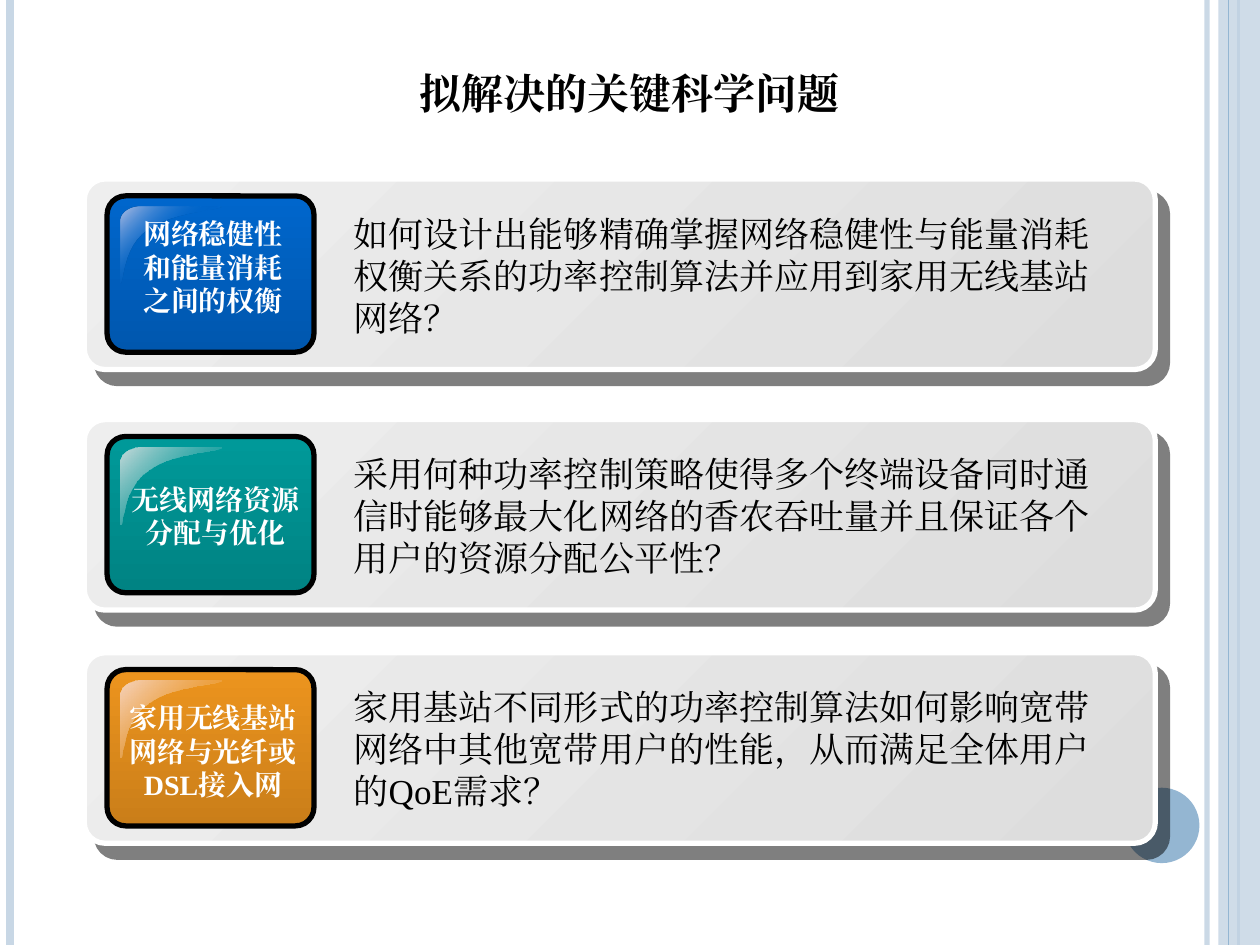
from dataclasses import dataclass

from pptx import Presentation
from pptx.dml.color import RGBColor
from pptx.enum.shapes import MSO_CONNECTOR, MSO_SHAPE
from pptx.enum.text import MSO_ANCHOR, MSO_AUTO_SIZE, PP_ALIGN
from pptx.oxml import parse_xml
from pptx.oxml.ns import nsdecls, qn
from pptx.util import Cm, Pt

RECT, ROUND, OVAL = MSO_SHAPE.RECTANGLE, MSO_SHAPE.ROUNDED_RECTANGLE, MSO_SHAPE.OVAL
STRAIGHT = MSO_CONNECTOR.STRAIGHT
TOP, BOTTOM = MSO_ANCHOR.TOP, MSO_ANCHOR.BOTTOM
LEFT, CENTER = PP_ALIGN.LEFT, PP_ALIGN.CENTER
GROW, FIXED = MSO_AUTO_SIZE.SHAPE_TO_FIT_TEXT, MSO_AUTO_SIZE.NONE


@dataclass(frozen=True)
class Theme:
    sans: str = "Cambria"
    serif: str = "Times New Roman"
    title_size: int = 30
    label_size: int = 16
    body_size: int = 20
    black: str = "000000"
    white: str = "FFFFFF"
    pale: str = "C8D7E5"
    accent: str = "94B6D2"
    card: tuple = ("EEEEEE", "DDDDDD")


T = Theme()
WIDTH, HEIGHT = 25.4, 19.05

# Edge lines: x, colour, weight, opacity
EDGES_BELOW = [(24.33, T.pale, 3, 93), (0.2, T.pale, 4.5, 100), (24.97, T.accent, 1.5, 100)]
EDGES_ABOVE = [(24.77, T.accent, 0.75, 100)]

# Cards: top, button colour, gloss stops (position, colour, opacity),
# label box, label runs, question, question font
CARDS = [
    (3.61, "0066CC", [(0, "B5C0E5", 100), (50, "0066CC", 0), (100, "B5C0E5", 100)],
     (2.57, 4.24, 3.45, 2.31), [("网络稳健性和能量消耗之间的权衡", T.sans)],
     "如何设计出能够精确掌握网络稳健性与能量消耗权衡关系的功率控制算法并应用到家用无线基站网络？",
     T.sans),
    (8.46, "009999", [(0, "C9DBDB", 100), (100, "009999", 0)],
     (2.34, 9.6, 4.01, 1.63), [("无线网络资源分配与优化", T.sans)],
     "采用何种功率控制策略使得多个终端设备同时通信时能够最大化网络的香农吞吐量并且保证各个用户的资源分配公平性？",
     T.sans),
    (13.16, "EC941E", [(0, "F6D4BF", 100), (100, "EC941E", 0)],
     (2.24, 14, 4.11, 2.31),
     [("家用无线基站网络与光纤或", T.sans), ("DSL", T.serif), ("接入网", T.sans)],
     "家用基站不同形式的功率控制算法如何影响宽带网络中其他宽带用户的性能，从而满足全体用户的QoE需求？",
     T.serif),
]

# Gloss outline: start point, then Bezier segments (two controls and an end)
GLOSS_START = (0.41, 0)
GLOSS_CORNER = [((0.18, 0), (0, 0.13), (0, 0.3))]
GLOSS_SWEEP = [((0.08, 1.57), (0.03, 0.81), (0.56, 0.46)),
               ((1.07, 0.1), (2.06, 0.08), (2.03, 0))]
GLOSS_FOOT = (0, 1.55)


def apply(obj, values):
    for name, value in values.items():
        setattr(obj, name, value)


def set_alpha(fill_parent, percent):
    if percent < 100:
        clr = fill_parent.find(qn("a:solidFill"))[0]
        clr.append(parse_xml(f'<a:alpha {nsdecls("a")} val="{percent * 1000}"/>'))


def set_gradient(sp, stops, angle):
    """Each stop is (position, colour, opacity) with an optional shade."""
    gs = ""
    for pos, color, alpha, *shade in stops:
        mods = "".join(f'<a:shade val="{v * 1000}"/>' for v in shade)
        mods += f'<a:alpha val="{alpha * 1000}"/>' if alpha < 100 else ""
        gs += f'<a:gs pos="{pos * 1000}"><a:srgbClr val="{color}">{mods}</a:srgbClr></a:gs>'
    sp.fill.gradient()
    old = sp.element.spPr.find(qn("a:gradFill"))
    new = parse_xml(f'<a:gradFill {nsdecls("a")} rotWithShape="1"><a:gsLst>{gs}</a:gsLst>'
                    f'<a:lin ang="{angle * 60000}" scaled="0"/></a:gradFill>')
    old.getparent().replace(old, new)


def set_line(sp, color=None, weight=0):
    if color is None:
        sp.line.fill.background()
    else:
        sp.line.color.rgb = RGBColor.from_string(color)
        sp.line.width = Pt(weight)


def add_shape(s, kind, box, line=None, radius=None):
    sp = s.shapes.add_shape(kind, *map(Cm, box))
    sp.shadow.inherit = False
    set_line(sp, line, 3)
    if radius is not None:
        sp.adjustments[0] = radius
    return sp


def add_solid(s, kind, box, color, alpha=100):
    sp = add_shape(s, kind, box)
    sp.fill.solid()
    sp.fill.fore_color.rgb = RGBColor.from_string(color)
    set_alpha(sp.element.spPr, alpha)


def add_edges(s, edges):
    for x, color, weight, alpha in edges:
        cx = s.shapes.add_connector(STRAIGHT, Cm(x), Cm(0), Cm(x), Cm(HEIGHT))
        set_line(cx, color, weight)
        spPr = cx.element.spPr
        set_alpha(spPr.find(qn("a:ln")), alpha)
        spPr.append(parse_xml(f'<a:effectLst {nsdecls("a")}/>'))


def add_text(s, box, runs, size, color, bold=False, align=LEFT, anchor=TOP,
             auto_size=GROW, small_caps=False):
    tf = s.shapes.add_textbox(*map(Cm, box)).text_frame
    apply(tf, {"word_wrap": True, "vertical_anchor": anchor, "auto_size": auto_size})
    p = tf.paragraphs[0]
    p.alignment = align
    for text, font in runs:
        r = p.add_run()
        r.text = text
        apply(r.font, {"name": font, "size": Pt(size), "bold": bold})
        r.font.color.rgb = RGBColor.from_string(color)
        rPr = r.font.element if hasattr(r.font, "element") else r._r.get_or_add_rPr()
        rPr.append(parse_xml(f'<a:ea {nsdecls("a")} typeface="{font}"/>'))
        if small_caps:
            rPr.set("cap", "small")


def curve(start, segments, steps=12):
    points = []
    for c1, c2, end in segments:
        for i in range(1, steps + 1):
            t = i / steps
            weights = ((1 - t) ** 3, 3 * t * (1 - t) ** 2, 3 * t * t * (1 - t), t ** 3)
            points.append(tuple(sum(w * q[k] for w, q in zip(weights, (start, c1, c2, end)))
                                for k in (0, 1)))
        start = end
    return points


def add_gloss(s, x, y, stops):
    points = [GLOSS_START, *curve(GLOSS_START, GLOSS_CORNER),
              GLOSS_FOOT, *curve(GLOSS_FOOT, GLOSS_SWEEP)]
    emu = [(Cm(x + px), Cm(y + py)) for px, py in points]
    builder = s.shapes.build_freeform(*emu[0])
    builder.add_line_segments(emu[1:], close=True)
    sp = builder.convert_to_shape()
    sp.shadow.inherit = False
    set_line(sp)
    set_gradient(sp, stops, 45)


def add_card(s, top, color, gloss, label_box, label, question, font):
    # Panel with a hard offset shadow
    panel = add_shape(s, ROUND, (1.7, top, 21.59, 3.84), T.white, 0.109)
    set_gradient(panel, [(0, T.card[0], 100), (100, T.card[1], 100)], 45)
    panel.element.spPr.find(qn("a:effectLst")).append(parse_xml(
        f'<a:outerShdw {nsdecls("a")} dist="{Pt(10.6)}" dir="{49 * 60000}" algn="ctr" '
        f'rotWithShape="0"><a:srgbClr val="{T.black}"><a:alpha val="50000"/></a:srgbClr>'
        '</a:outerShdw>'))
    # Glossy button and its label
    button = add_shape(s, ROUND, (2.16, top + 0.34, 4.17, 3.15), T.black, 0.119)
    set_gradient(button, [(0, color, 100), (100, color, 100, 70)], 90)
    add_gloss(s, 2.44, top + 0.56, gloss)
    add_text(s, label_box, label, T.label_size, T.white, bold=True, align=CENTER)
    # Question
    add_text(s, (6.88, top + 0.54, 15.88, 2.82), [(question, font)], T.body_size, T.black)


def main():
    prs = Presentation()
    apply(prs, {"slide_width": Cm(WIDTH), "slide_height": Cm(HEIGHT)})
    s = prs.slides.add_slide(prs.slide_layouts[6])

    # Side decoration
    add_edges(s, EDGES_BELOW)
    add_solid(s, RECT, (24.56, 0, 0.84, HEIGHT), T.pale, 87)
    add_edges(s, EDGES_ABOVE)
    add_solid(s, OVAL, (22.66, 15.88, 1.52, 1.52), T.accent)

    # Question cards
    for card in CARDS:
        add_card(s, *card)

    # Title
    add_text(s, (0, 0.64, WIDTH, 1.9), [("拟解决的关键科学问题", T.sans)], T.title_size, T.black,
             bold=True, align=CENTER, anchor=BOTTOM, auto_size=FIXED, small_caps=True)

    prs.save("out.pptx")


if __name__ == "__main__":
    main()
